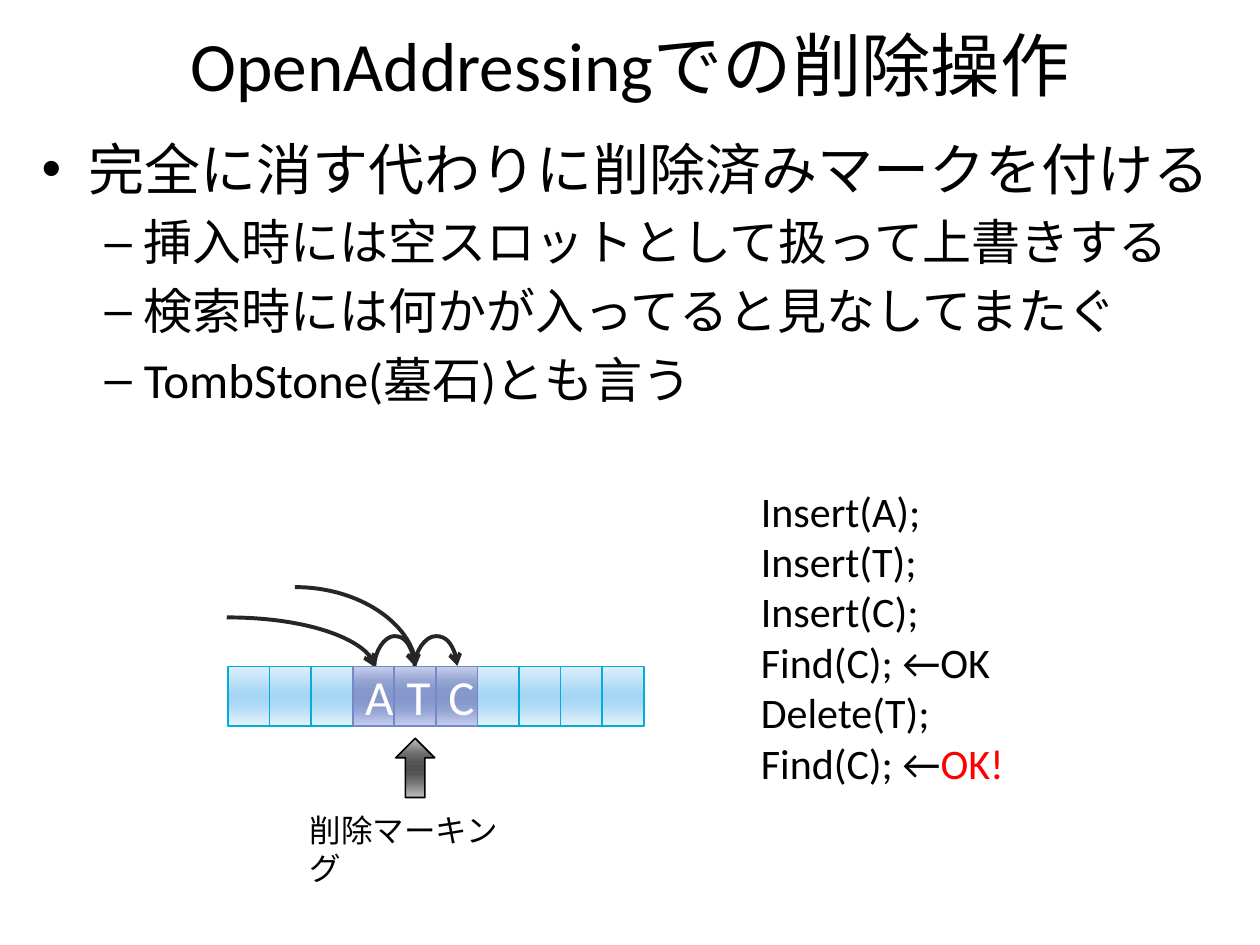
from lxml import etree
from pptx import Presentation
from pptx.dml.color import RGBColor
from pptx.enum.shapes import MSO_CONNECTOR, MSO_SHAPE
from pptx.enum.text import MSO_ANCHOR, MSO_AUTO_SIZE, PP_ALIGN
from pptx.oxml import parse_xml
from pptx.oxml.ns import nsdecls, qn
from pptx.util import Inches, Pt

RECTANGLE, UP_ARROW = MSO_SHAPE.RECTANGLE, MSO_SHAPE.UP_ARROW
CURVE = MSO_CONNECTOR.CURVE
MIDDLE, CENTER = MSO_ANCHOR.MIDDLE, PP_ALIGN.CENTER
NO_AUTOFIT = MSO_AUTO_SIZE.NONE

BLACK = RGBColor(0x00, 0x00, 0x00)
WHITE = RGBColor(0xFF, 0xFF, 0xFF)
RED = RGBColor(0xFF, 0x00, 0x00)
PROBE_COLOR = RGBColor(0x26, 0x26, 0x26)
EMPTY_LINE = RGBColor(0x00, 0xAD, 0xDC)
KEY_LINE = RGBColor(0x73, 0x8A, 0xC8)

# Gradient stops: percent along the shape, colour
EMPTY_STOPS = [(0, RGBColor(0xDE, 0xEE, 0xFA)), (40, RGBColor(0xAC, 0xD9, 0xF5)),
               (50, RGBColor(0xA4, 0xD6, 0xF4)), (65, RGBColor(0xAC, 0xD9, 0xF5)),
               (100, RGBColor(0xE5, 0xF2, 0xFB))]
KEY_STOPS = [(0, RGBColor(0xC7, 0xCF, 0xEC)), (25, RGBColor(0x94, 0xA3, 0xD1)),
             (40, RGBColor(0x86, 0x98, 0xCD)), (50, RGBColor(0x84, 0x96, 0xCC)),
             (60, RGBColor(0x86, 0x98, 0xCD)), (75, RGBColor(0x95, 0xA5, 0xD5)),
             (100, RGBColor(0xC5, 0xCE, 0xED))]
MARKER_STOPS = [(0, RGBColor(0xC0, 0xC0, 0xC0)), (25, RGBColor(0x70, 0x70, 0x70)),
                (40, RGBColor(0x55, 0x55, 0x55)), (50, RGBColor(0x50, 0x50, 0x50)),
                (60, RGBColor(0x55, 0x55, 0x55)), (75, RGBColor(0x76, 0x76, 0x76)),
                (100, RGBColor(0xC0, 0xC0, 0xC0))]

SLOT_LEFT, SLOT_TOP, SLOT_WIDTH, SLOT_HEIGHT = 1.81, 5.29, 0.33, 0.47
SLOT_COUNT, FIRST_KEY_SLOT = 10, 3


def add_gradient_shape(kind, left, top, width, height, stops, line_color):
    shape = slide.shapes.add_shape(
        kind, Inches(left), Inches(top), Inches(width), Inches(height))
    shape.shadow.inherit = False
    stop_xml = "".join(
        f'<a:gs pos="{percent * 1000}"><a:srgbClr val="{color}"/></a:gs>'
        for percent, color in stops)
    gradient = parse_xml(
        f'<a:gradFill {nsdecls("a")} rotWithShape="1"><a:gsLst>{stop_xml}</a:gsLst>'
        '<a:lin ang="5400000" scaled="0"/></a:gradFill>')
    shape._element.spPr.find(qn("a:prstGeom")).addnext(gradient)
    shape.line.color.rgb = line_color
    shape.line.width = Pt(0.94)
    return shape


def add_probe(begin_x, begin_y, end_x, end_y):
    """Add a curved arrow that shows one probe of the hash table."""
    probe = slide.shapes.add_connector(
        CURVE, Inches(begin_x), Inches(begin_y), Inches(end_x), Inches(end_y))
    probe.line.color.rgb = PROBE_COLOR
    probe.line.width = Pt(2.25)
    etree.SubElement(probe.line._get_or_add_ln(), qn("a:tailEnd"), type="arrow")
    etree.SubElement(probe._element.spPr, qn("a:effectLst"))
    return probe


presentation = Presentation()
presentation.slide_width = Inches(10)
presentation.slide_height = Inches(7.5)
slide = presentation.slides.add_slide(presentation.slide_layouts[1])

# Title and list
title, body = slide.placeholders
title.left, title.top = Inches(0.5), Inches(0.16)
title.width, title.height = Inches(9), Inches(0.7)
title.text_frame.text = "OpenAddressingでの削除操作"
body.left, body.top = Inches(0.23), Inches(1.02)
body.width, body.height = Inches(9.53), Inches(2.34)
body.text_frame.text = "\n".join([
    "完全に消す代わりに削除済みマークを付ける",
    "挿入時には空スロットとして扱って上書きする",
    "検索時には何かが入ってると見なしてまたぐ",
    "TombStone(墓石)とも言う",
])
for paragraph in body.text_frame.paragraphs[1:]:
    paragraph.level = 1
for placeholder, sizes in ((title, [39.6]), (body, [32, 28, 28, 28])):
    placeholder.text_frame.auto_size = NO_AUTOFIT
    for paragraph, size in zip(placeholder.text_frame.paragraphs, sizes):
        font = paragraph.runs[0].font
        font.name, font.size = "Calibri", Pt(size)
        font.color.rgb = BLACK

# Probes from the hash function into the table
for begin_x, begin_y, end_x in ((1.8, 4.9, 2.97), (2.34, 4.66, 3.3)):
    probe = add_probe(begin_x, begin_y, end_x, SLOT_TOP)
    probe._element.spPr.find(qn("a:prstGeom")).set("prst", "curvedConnector2")

# Hops from one slot to the next: thin upright curves turned by 90 degrees
HOP_THICKNESS, HOP_RISE = 0.01, 0.25
for left, right in ((2.97, 3.29), (3.29, 3.63)):
    center, half_span = (left + right) / 2, (right - left) / 2
    hop = add_probe(center + HOP_THICKNESS / 2, SLOT_TOP + half_span,
                    center - HOP_THICKNESS / 2, SLOT_TOP - half_span)
    properties = hop._element.spPr
    properties.find(qn("a:xfrm")).set("rot", "5400000")
    adjustments = properties.find(qn("a:prstGeom")).find(qn("a:avLst"))
    adjustment = round(HOP_RISE / HOP_THICKNESS * 100000)
    etree.SubElement(adjustments, qn("a:gd"), name="adj1", fmla=f"val {adjustment}")

# Hash table
for index in range(SLOT_COUNT):
    add_gradient_shape(RECTANGLE, SLOT_LEFT + index * SLOT_WIDTH, SLOT_TOP,
                       SLOT_WIDTH, SLOT_HEIGHT, EMPTY_STOPS, EMPTY_LINE)
for index, key in enumerate("ATC", FIRST_KEY_SLOT):
    slot = add_gradient_shape(RECTANGLE, SLOT_LEFT + index * SLOT_WIDTH, SLOT_TOP,
                              SLOT_WIDTH, SLOT_HEIGHT, KEY_STOPS, KEY_LINE)
    slot.text_frame.text = key
    slot.text_frame.vertical_anchor = MIDDLE
    paragraph = slot.text_frame.paragraphs[0]
    paragraph.alignment = CENTER
    font = paragraph.runs[0].font
    font.name, font.size = "Calibri", Pt(28)
    font.color.rgb = WHITE

# Deletion marker
add_gradient_shape(UP_ARROW, 3.14, 5.86, 0.31, 0.47, MARKER_STOPS, BLACK)

# Operations and marker caption
operations = ["Insert(A);", "Insert(T);", "Insert(C);", "Find(C); ←OK",
              "Delete(T);", "Find(C); ←"]
for left, top, width, height, size, lines in (
        (5.94, 3.8, 3.52, 2.52, 24, operations),
        (2.36, 6.39, 1.87, 0.4, 18, ["削除マーキング"])):
    text_box = slide.shapes.add_textbox(
        Inches(left), Inches(top), Inches(width), Inches(height))
    text_frame = text_box.text_frame
    text_frame.word_wrap = True
    text_frame.text = "\n".join(lines)
    if lines is operations:
        result = text_frame.paragraphs[-1].add_run()
        result.text = "OK!"
    for paragraph in text_frame.paragraphs:
        for run in paragraph.runs:
            run.font.name, run.font.size = "Calibri", Pt(size)
            run.font.color.rgb = BLACK
result.font.color.rgb = RED

presentation.save("out.pptx")
